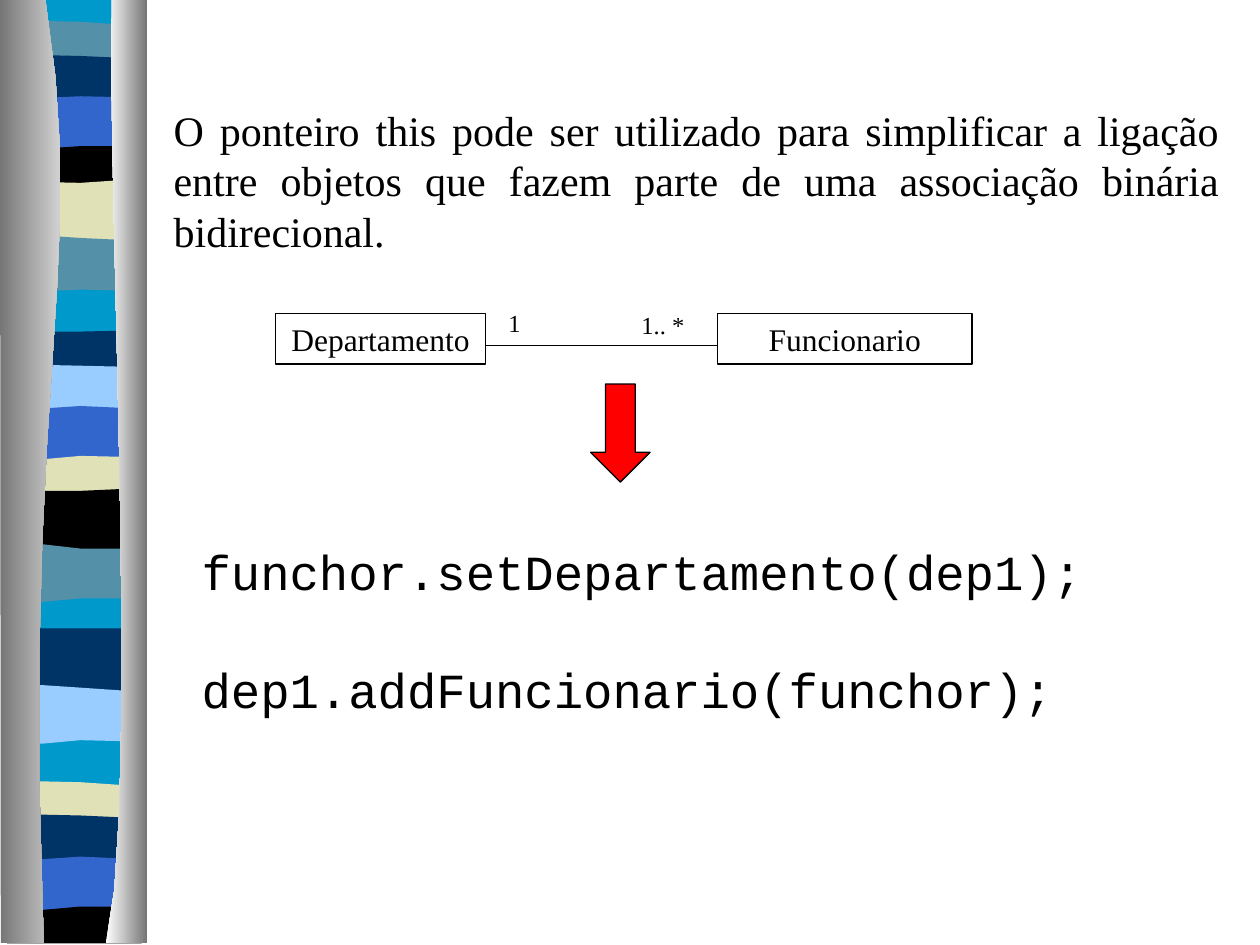
"""Build the slide on linking objects with the this pointer."""
from pptx import Presentation
from pptx.dml.color import RGBColor
from pptx.enum import shapes, text
from pptx.oxml import parse_xml
from pptx.util import Pt


def paint(color, value):
    color.rgb = RGBColor.from_string(value)


def put_text(shape, lines, size, font, align):
    tf = shape.text_frame
    tf.word_wrap = True
    tf.auto_size = text.MSO_AUTO_SIZE.NONE
    for i, line in enumerate(lines):
        p = tf.paragraphs[0] if i == 0 else tf.add_paragraph()
        p.alignment = align
        p.space_before = Pt(0)
        r = p.add_run()
        r.text = line
        r.font.size = Pt(size)
        r.font.name = font
        paint(r.font.color, "000000")
    return tf


SERIF, MONO = "Times New Roman", "Courier New"
LEFT, CENTER, JUSTIFY = (text.PP_ALIGN.LEFT, text.PP_ALIGN.CENTER,
                         text.PP_ALIGN.JUSTIFY)
CYAN, TEAL, NAVY, BLUE = "0099CC", "5490A8", "003366", "3366CC"
BLACK, CREAM, SKY = "000000", "E1E1B7", "99CCFF"

prs = Presentation()
prs.slide_width, prs.slide_height = Pt(720), Pt(540)
s = prs.slides.add_slide(prs.slide_layouts[3])
title, body, code = s.placeholders
title.element.getparent().remove(title.element)

# top edge of each band: left, middle, right
bands = [
    (12, 12.5, 14, TEAL), (31.5, 32, 33, NAVY), (56, 55, 55.5, BLUE),
    (85, 83.5, 83.5, BLACK), (104, 104.5, 103, CREAM),
    (134.5, 136, 137, TEAL), (166.5, 165.5, 166, CYAN),
    (189.5, 189.5, 189, NAVY), (208.5, 209, 209.5, SKY),
    (233.5, 232, 233, BLUE), (262.5, 260.5, 261, CREAM),
    (280.5, 280.5, 279.5, BLACK), (311, 313.5, 313.5, TEAL),
    (344, 342, 342, CYAN), (359, 359, 359, NAVY), (391.5, 393, 394.5, SKY),
    (425, 423, 423.5, CYAN), (446.5, 447, 448.5, CREAM),
    (465.5, 466, 467, NAVY), (491, 489.5, 490.5, BLUE),
    (520, 518, 518, BLACK), (539, 539, 539, CYAN),
]
outlines = [([(4, 0), (81, 0), (81, 538), (4, 538)], [CYAN])]
edges = [[(4, y0), (24, y0), (46, y1), (68, y2), (81, y2)]
         for y0, y1, y2, color in bands]
for i, band in enumerate(bands[:-1]):
    if band[3] != CYAN:
        overlap = 0 if bands[i + 1][3] == CYAN else 4
        below = [(x, y + overlap) for x, y in reversed(edges[i + 1])]
        outlines.append((edges[i] + below, [band[3]]))

drapes = [
    ([(26, 0), (51, 155.5), (12, 213), (25, 539)], [(0.5, 539), (0, 0)],
     ["767676", "D1D1D1"]),
    ([(64, 0), (60.5, 90), (80.5, 465), (60.5, 539)], [(84, 539), (84, 0)],
     ["FFFFFF", "767676"]),
]
for (a, b, c, d), corners, colors in drapes:
    edge = []
    for k in range(11):
        t = k / 10
        weights = ((1 - t) ** 3, 3 * t * (1 - t) ** 2, 3 * t * t * (1 - t), t ** 3)
        edge.append(tuple(sum(w * q[axis] for w, q in zip(weights, (a, b, c, d)))
                          for axis in (0, 1)))
    outlines.append((edge + corners, colors))

for points, colors in outlines:
    points = [(Pt(x), Pt(y)) for x, y in points]
    builder = s.shapes.build_freeform(*points[0])
    builder.add_line_segments(points[1:], close=True)
    sp = builder.convert_to_shape()
    sp.shadow.inherit = False
    sp.line.fill.background()
    if len(colors) == 1:
        sp.fill.solid()
        paint(sp.fill.fore_color, colors[0])
    else:
        sp.fill.gradient()
        sp.fill.gradient_angle = 0
        for stop, color, position in zip(sp.fill.gradient_stops, colors, (0, 1)):
            paint(stop.color, color)
            stop.position = position

blocks = [
    (body, (92, 56, 612, 94), ["O ponteiro this pode ser utilizado para "
     "simplificar a ligação entre objetos que fazem parte de uma associação "
     "binária bidirecional."], 24, SERIF, JUSTIFY),
    (code, (108, 306, 522, 108), ["funchor.setDepartamento(dep1);",
     "dep1.addFuncionario(funchor);"], 28, MONO, LEFT),
]
for sp, box, lines, size, font, align in blocks:
    sp.left, sp.top, sp.width, sp.height = map(Pt, box)
    tf = put_text(sp, lines, size, font, align)
    tf.vertical_anchor = text.MSO_ANCHOR.TOP
    for p in tf.paragraphs:
        pPr = p._p.get_or_add_pPr()
        pPr.set("marL", "0")
        pPr.set("indent", "0")
        pPr.append(parse_xml('<a:buNone xmlns:a="http://schemas.openxmlformats.org/'
                             'drawingml/2006/main"/>'))
code.text_frame.paragraphs[0].space_after = Pt(33.4)

RECT, ARROW = shapes.MSO_SHAPE.RECTANGLE, shapes.MSO_SHAPE.DOWN_ARROW
figures = [
    (RECT, (157.5, 179, 120, 29), "Departamento"),
    (RECT, (410, 179, 145.5, 29), "Funcionario"),
    (ARROW, (337.5, 219.5, 34, 56), ""),
]
for kind, box, label in figures:
    sp = s.shapes.add_shape(kind, *map(Pt, box))
    sp.shadow.inherit = False
    sp.line.width = Pt(0.74)
    paint(sp.line.color, BLACK)
    if label:
        sp.fill.background()
        put_text(sp, [label], 18, SERIF, CENTER)
    else:
        sp.fill.solid()
        paint(sp.fill.fore_color, "FF0000")

link = s.shapes.add_connector(shapes.MSO_CONNECTOR.STRAIGHT,
                              Pt(277.5), Pt(197.5), Pt(410), Pt(197.5))
link.line.width = Pt(0.74)
paint(link.line.color, BLACK)
link._element.spPr.append(parse_xml(
    '<a:effectLst xmlns:a="http://schemas.openxmlformats.org/drawingml/2006/main"/>'))

for label, box in [("1.. *", (359.5, 173.5, 44, 24)), ("1", (283.5, 172.5, 25, 24))]:
    put_text(s.shapes.add_textbox(*map(Pt, box)), [label], 14, SERIF, LEFT)

prs.save("out.pptx")
